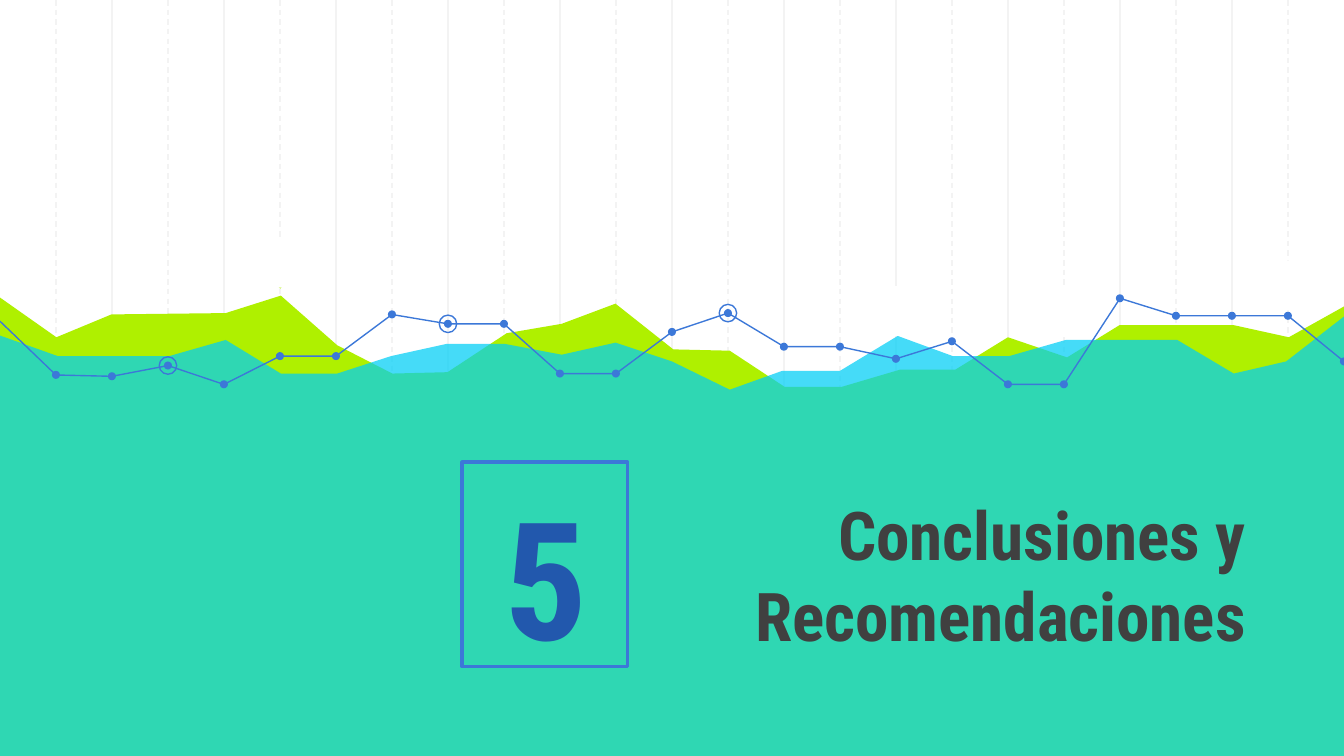
from pptx import Presentation
from pptx.dml.color import RGBColor
from pptx.enum.dml import MSO_LINE_DASH_STYLE as Dash
from pptx.enum.shapes import MSO_CONNECTOR as Connector, MSO_SHAPE as Shape
from pptx.enum.text import MSO_ANCHOR as Anchor, PP_ALIGN as Align
from pptx.oxml.ns import qn
from pptx.util import Inches, Pt
from lxml.etree import SubElement

WHITE = RGBColor(0xFF, 0xFF, 0xFF)
GRID = RGBColor(0xF3, 0xF3, 0xF3)
LIME = RGBColor(0xAF, 0xF0, 0x00)
CYAN = RGBColor(0x00, 0xCE, 0xF6)
BLUE = RGBColor(0x3C, 0x78, 0xD8)
DEEP_BLUE = RGBColor(0x22, 0x58, 0xAD)
GRAY = RGBColor(0x40, 0x40, 0x40)

WIDTH = 10
HEIGHT = WIDTH * 9 / 16
STEP = WIDTH / 24
DOT, RING = 0.06, 0.13


class SlideBuilder:
    font = "Roboto Condensed"

    def __init__(self, page):
        self.page = page

    def paint(self, shape, fill=None, line=None, weight=0.75, alpha=None):
        shape.shadow.inherit = False
        if fill is None:
            shape.fill.background()
        else:
            shape.fill.solid()
            shape.fill.fore_color.rgb = fill
        if alpha is not None:
            color = shape._element.spPr.find(qn("a:solidFill"))[0]
            SubElement(color, qn("a:alpha"), val=str(alpha * 1000))
        if line is None:
            shape.line.fill.background()
        else:
            shape.line.color.rgb = line
            shape.line.width = Pt(weight)

    def grid_line(self, x, dash=None):
        line = self.page.shapes.add_connector(
            Connector.STRAIGHT, Inches(x), 0, Inches(x), Inches(5.65))
        line.line.color.rgb = GRID
        line.line.width = Pt(0.75)
        if dash is not None:
            line.line.dash_style = dash
        SubElement(line._element.spPr, qn("a:effectLst"))

    def outline(self, points, close, **look):
        corners = [(Inches(x), Inches(y)) for x, y in points]
        builder = self.page.shapes.build_freeform(*corners[0])
        builder.add_line_segments(corners[1:], close=close)
        self.paint(builder.convert_to_shape(), **look)

    def shape(self, kind, left, top, width, height, **look):
        shape = self.page.shapes.add_shape(
            kind, Inches(left), Inches(top), Inches(width), Inches(height))
        self.paint(shape, **look)
        return shape

    def circle(self, center, size, **look):
        x, y = center
        self.shape(Shape.OVAL, x - size / 2, y - size / 2, size, size, **look)

    def text(self, words, left, top, width, height, size, color, align):
        box = self.page.shapes.add_textbox(
            Inches(left), Inches(top), Inches(width), Inches(height))
        frame = box.text_frame
        frame_format = {"word_wrap": True, "vertical_anchor": Anchor.BOTTOM}
        for side in ("left", "right", "top", "bottom"):
            frame_format[f"margin_{side}"] = Inches(0.1)
        for name, value in frame_format.items():
            setattr(frame, name, value)
        para = frame.paragraphs[0]
        para.alignment = align
        span = para.add_run()
        span.text = words
        for name, value in {"name": self.font, "size": Pt(size), "bold": True}.items():
            setattr(span.font, name, value)
        span.font.color.rgb = color


LIME_RIDGE = [
    (-0.02, 2.2), (0.42, 2.51), (0.83, 2.34), (1.68, 2.33), (2.09, 2.2),
    (2.51, 2.57), (2.92, 2.78), (3.33, 2.77), (3.77, 2.48), (4.18, 2.41),
    (4.58, 2.26), (5.01, 2.6), (5.43, 2.61), (5.84, 2.88), (6.26, 2.88),
    (6.7, 2.75), (7.11, 2.75), (7.5, 2.51), (7.94, 2.66), (8.33, 2.42),
    (9.18, 2.42), (9.59, 2.51), (10.02, 2.27)]
CYAN_RIDGE = [
    (-0.02, 2.49), (0.43, 2.65), (1.26, 2.65), (1.68, 2.53), (2.09, 2.78),
    (2.51, 2.78), (2.91, 2.65), (3.32, 2.56), (3.76, 2.56), (4.18, 2.64),
    (4.58, 2.55), (5, 2.69), (5.43, 2.9), (5.82, 2.76), (6.25, 2.76),
    (6.68, 2.5), (7.09, 2.65), (7.51, 2.65), (7.93, 2.53), (8.76, 2.53),
    (9.18, 2.78), (9.57, 2.69), (10.02, 2.34)]
BASE = [(10.04, 5.67), (-0.03, 5.67)]
TREND_HEIGHTS = [
    2.39, 2.79, 2.8, 2.72, 2.86, 2.65, 2.65, 2.34, 2.41, 2.41, 2.78, 2.78, 2.47,
    2.33, 2.58, 2.58, 2.67, 2.54, 2.86, 2.86, 2.22, 2.35, 2.35, 2.35, 2.69]
TREND = [(index * STEP, y) for index, y in enumerate(TREND_HEIGHTS)]


def main():
    deck = Presentation()
    deck.slide_width, deck.slide_height = Inches(WIDTH), Inches(HEIGHT)
    slide = SlideBuilder(deck.slides.add_slide(deck.slide_layouts[6]))

    # Grid: solid lines on even steps, dashed lines on odd steps
    for first, dash in ((2, None), (1, Dash.DASH)):
        for index in range(first, 24, 2):
            slide.grid_line(index * STEP, dash)

    # Area silhouettes
    slide.outline(LIME_RIDGE + BASE, True, fill=LIME)
    slide.outline(CYAN_RIDGE + BASE, True, fill=CYAN, alpha=73)

    # Marker whose tip shows above the lime peak
    marker = slide.shape(Shape.TEAR, 2.02, 1.99, RING, RING, fill=LIME)
    marker.rotation = 135

    # Trend line in three stretches, with dots and highlighted points
    for start, end in ((0, 11), (11, 20), (20, 24)):
        slide.outline(TREND[start:end + 1], False, line=BLUE)
    for point in TREND[1:]:
        slide.circle(point, DOT, fill=BLUE)
    for index in (8, 3, 13):
        slide.circle(TREND[index], RING, line=BLUE)

    # Title and section number
    slide.text("Conclusiones y Recomendaciones", 4.06, 3.7, 5.31, 1.27,
               36, GRAY, Align.RIGHT)
    slide.text("5", 3.21, 3.04, 1.7, 2.07, 88, DEEP_BLUE, Align.CENTER)

    # White patches that interrupt the grid
    for left, top in ((1.91, 1.77), (6.51, 2.13), (9.45, 1.94), (7.77, 2.13)):
        slide.shape(Shape.RECTANGLE, left, top, 0.28, 0.37, fill=WHITE)

    # Frame of the section number
    slide.shape(Shape.RECTANGLE, 3.44, 3.44, 1.23, 1.52, line=BLUE, weight=2)

    deck.save("out.pptx")


if __name__ == "__main__":
    main()
